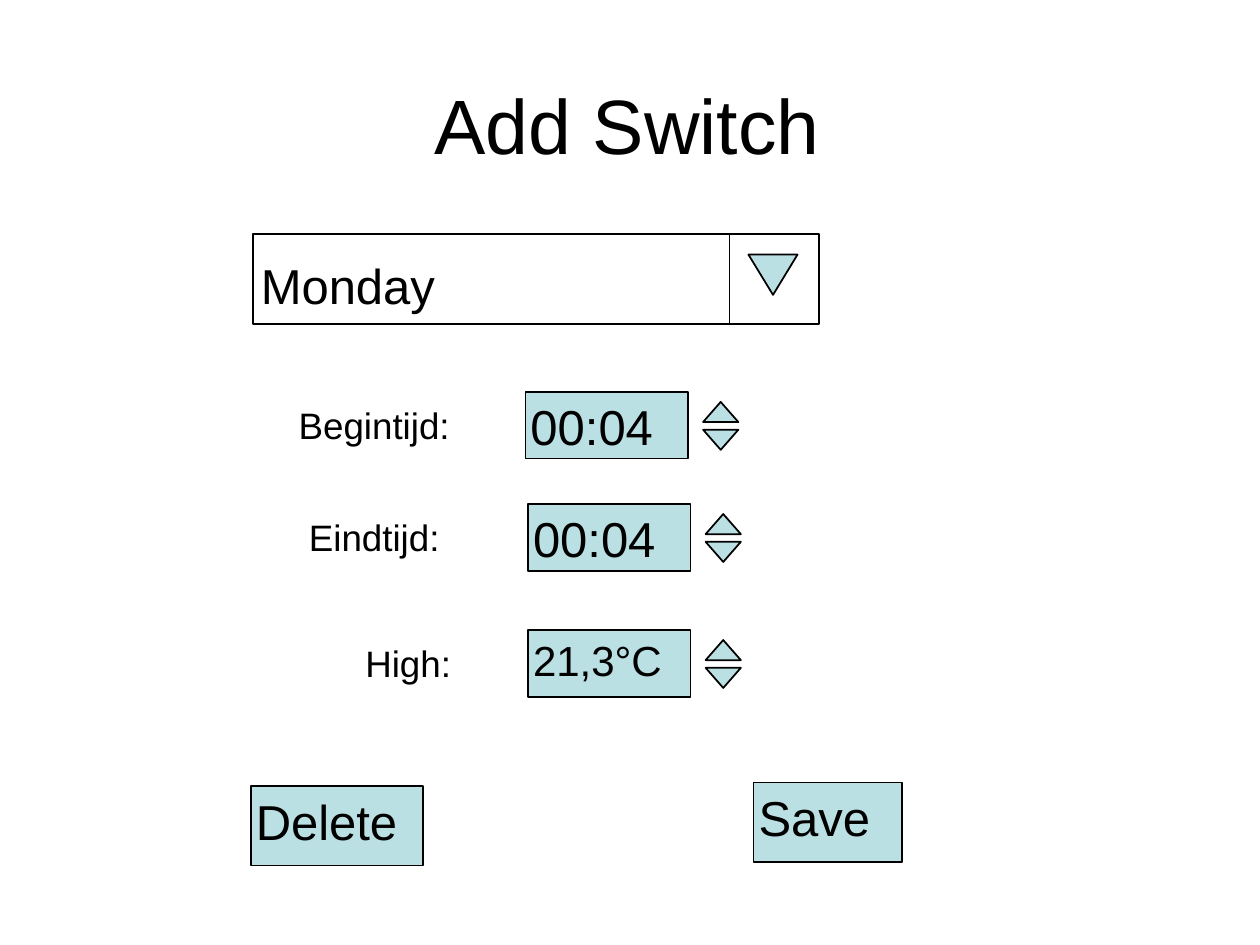
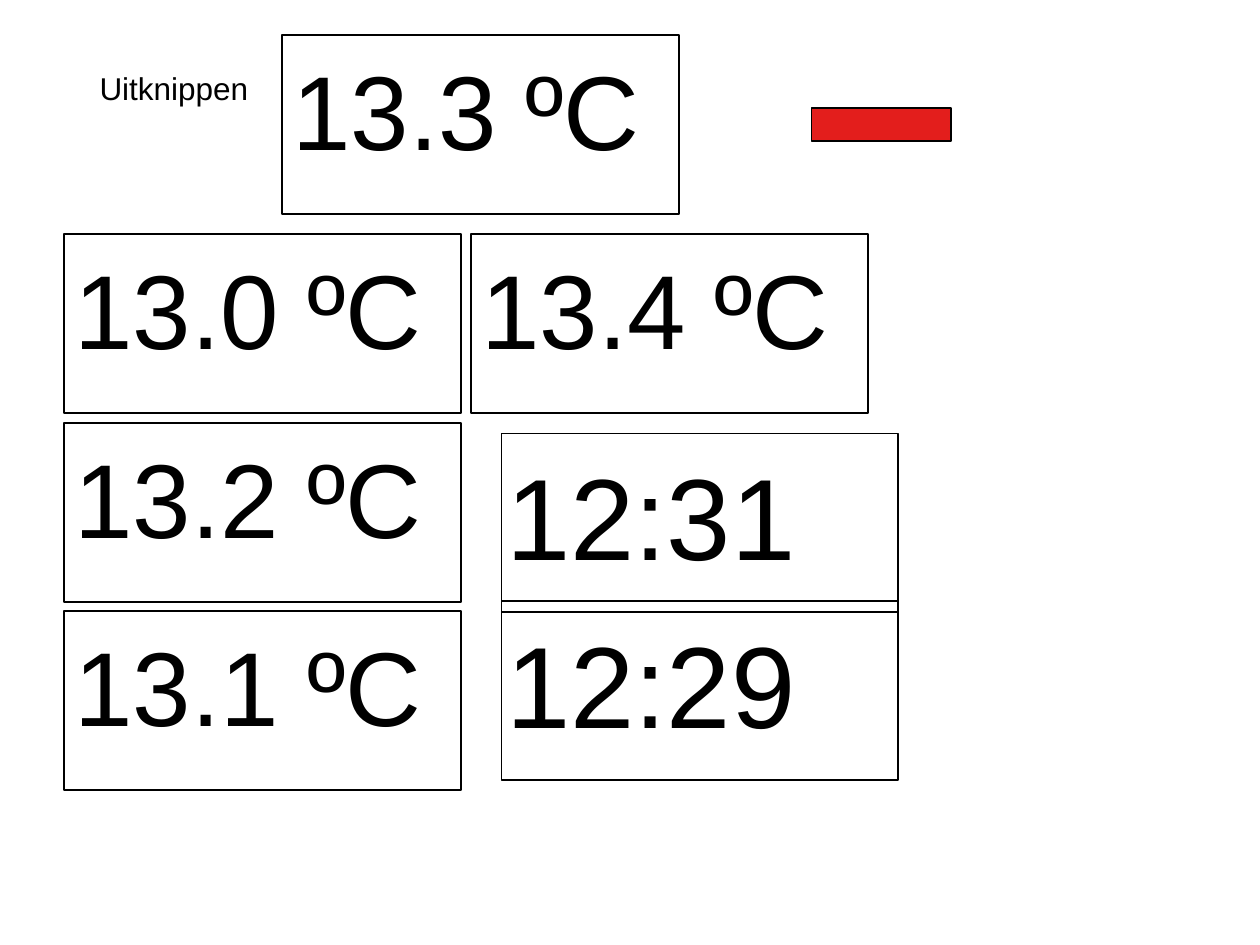
from lxml import etree
from pptx import Presentation
from pptx.dml.color import RGBColor
from pptx.enum.shapes import MSO_CONNECTOR as Connector, MSO_SHAPE as Preset
from pptx.enum.text import MSO_ANCHOR as Anchor, PP_ALIGN as Align
from pptx.oxml.ns import qn
from pptx.util import Inches, Pt

BLACK = RGBColor(0x00, 0x00, 0x00)
WHITE = RGBColor(0xFF, 0xFF, 0xFF)
AQUA = RGBColor(0xBB, 0xE0, 0xE3)
RED = RGBColor(0xE3, 0x1E, 0x1C)
FONT = "Arial"
LINE_WIDTH = Pt(1)
SIDE_INSET = 0.04
TOP_INSET_RATIO = 0.1  # space above the first line, as a share of the text size


# Shared parts
def inches(*lengths):
    return [Inches(length) for length in lengths]


def write_text(frame, text, size, align=Align.LEFT):
    paragraph = frame.paragraphs[0]
    paragraph.alignment = align
    run = paragraph.add_run()
    run.text = text
    run.font.name = FONT
    run.font.size = Pt(size)
    run.font.color.rgb = BLACK


def add_text(shapes, box, text, size, align=Align.LEFT, wrap=True):
    frame = shapes.add_textbox(*inches(*box)).text_frame
    frame.word_wrap = wrap
    frame.vertical_anchor = Anchor.TOP
    frame.margin_left = frame.margin_right = Inches(SIDE_INSET)
    frame.margin_top = Pt(size * TOP_INSET_RATIO)
    frame.margin_bottom = 0
    write_text(frame, text, size, align)


def add_outlined(shapes, preset, box, fill=None, rotation=0):
    shape = shapes.add_shape(preset, *inches(*box))
    shape.shadow.inherit = False
    if fill is None:
        shape.fill.background()
    else:
        shape.fill.solid()
        shape.fill.fore_color.rgb = fill
    shape.line.color.rgb = BLACK
    shape.line.width = LINE_WIDTH
    shape.rotation = rotation


def add_text_panel(slide, box, text, size, text_height, fill=None, align=Align.LEFT):
    """A group of a rectangle and the text at its top."""
    left, top, width, _ = box
    shapes = slide.shapes.add_group_shape().shapes
    add_outlined(shapes, Preset.RECTANGLE, box, fill)
    add_text(shapes, (left, top, width, text_height), text, size, align)
    return shapes


# Switch form
def add_title(slide, text):
    title = slide.shapes.title
    title.left, title.top, title.width, title.height = inches(0.5, 0.1, 9, 1.65)
    frame = title.text_frame
    frame.word_wrap = True
    frame.vertical_anchor = Anchor.MIDDLE
    frame.margin_left, frame.margin_top = inches(0.1, 0.17)
    frame.margin_right, frame.margin_bottom = inches(0.14, 0.06)
    write_text(frame, text, 44, Align.CENTER)


def add_dropdown(slide, box, text):
    left, top, width, height = box
    shapes = slide.shapes
    divider = left + width - height
    add_outlined(shapes, Preset.RECTANGLE, box, WHITE)
    line = shapes.add_connector(
        Connector.STRAIGHT, *inches(divider, top, divider, top + height))
    line.line.color.rgb = BLACK
    line.line.width = LINE_WIDTH
    etree.SubElement(line._element.spPr, qn("a:effectLst"))
    add_outlined(shapes, Preset.ISOSCELES_TRIANGLE,
                 (divider + 0.15, top + 0.16, 0.39, 0.32), AQUA, 180)
    add_text(shapes, (left + 0.02, top + 0.13, divider - left - 0.04, 0.54), text, 28)


def add_spinner(slide, left, top, value, size):
    shapes = add_text_panel(slide, (left, top, 1.29, 0.53), value, size, 0.45, AQUA)
    for offset, rotation in ((0.3, 180), (0.08, 0)):
        add_outlined(shapes, Preset.ISOSCELES_TRIANGLE,
                     (left + 1.41, top + offset, 0.28, 0.16), AQUA, rotation)


def build_switch_form(presentation):
    slide = presentation.slides.add_slide(presentation.slide_layouts[5])
    add_title(slide, "Add Switch")
    add_dropdown(slide, (2.01, 1.86, 4.49, 0.71), "Monday")

    # Rows: label, its left and width, then the spinner
    rows = (
        ("Begintijd:", 2.32, 1.29, 4.17, 3.11, "00:04", 28),
        ("Eindtijd:", 2.4, 1.13, 4.19, 4, "00:04", 28),
        ("High:", 2.85, 0.77, 4.19, 5, "21,3°C", 24),
    )
    for label, label_left, label_width, left, top, value, size in rows:
        add_text(slide.shapes, (label_left, top + 0.06, label_width, 0.35),
                 label, 21, Align.RIGHT, wrap=False)
        add_spinner(slide, left, top, value, size)

    # Buttons
    add_text_panel(slide, (5.98, 6.21, 1.18, 0.63), "Save", 28, 0.54, AQUA)
    add_text_panel(slide, (1.99, 6.24, 1.37, 0.63), "Delete", 28, 0.54, AQUA)


# Display cut-outs
def build_display_cutouts(presentation):
    slide = presentation.slides.add_slide(presentation.slide_layouts[6])
    panel_size = (3.15, 1.42)
    temperatures = (
        ("13.2", 0.51, 3.36), ("13.0", 0.51, 1.86), ("13.1", 0.51, 4.85),
        ("13.3", 2.24, 0.28), ("13.4", 3.74, 1.86),
    )
    for degrees, left, top in temperatures:
        add_text_panel(slide, (left, top, *panel_size), f"{degrees} ºC ", 60, 1.04,
                       align=Align.CENTER)
    add_text(slide.shapes, (0.75, 0.52, 4.64, 0.39), "Uitknippen", 18)
    for time, top in (("12:31", 3.44), ("12:29", 4.77)):
        add_text_panel(slide, (3.98, top, *panel_size), time, 66, 1.14)
    add_outlined(slide.shapes, Preset.RECTANGLE, (6.44, 0.86, 1.11, 0.26), RED)


def main():
    presentation = Presentation()
    presentation.slide_width, presentation.slide_height = inches(10, 7.5)
    build_switch_form(presentation)
    build_display_cutouts(presentation)
    presentation.save("out.pptx")


if __name__ == "__main__":
    main()
